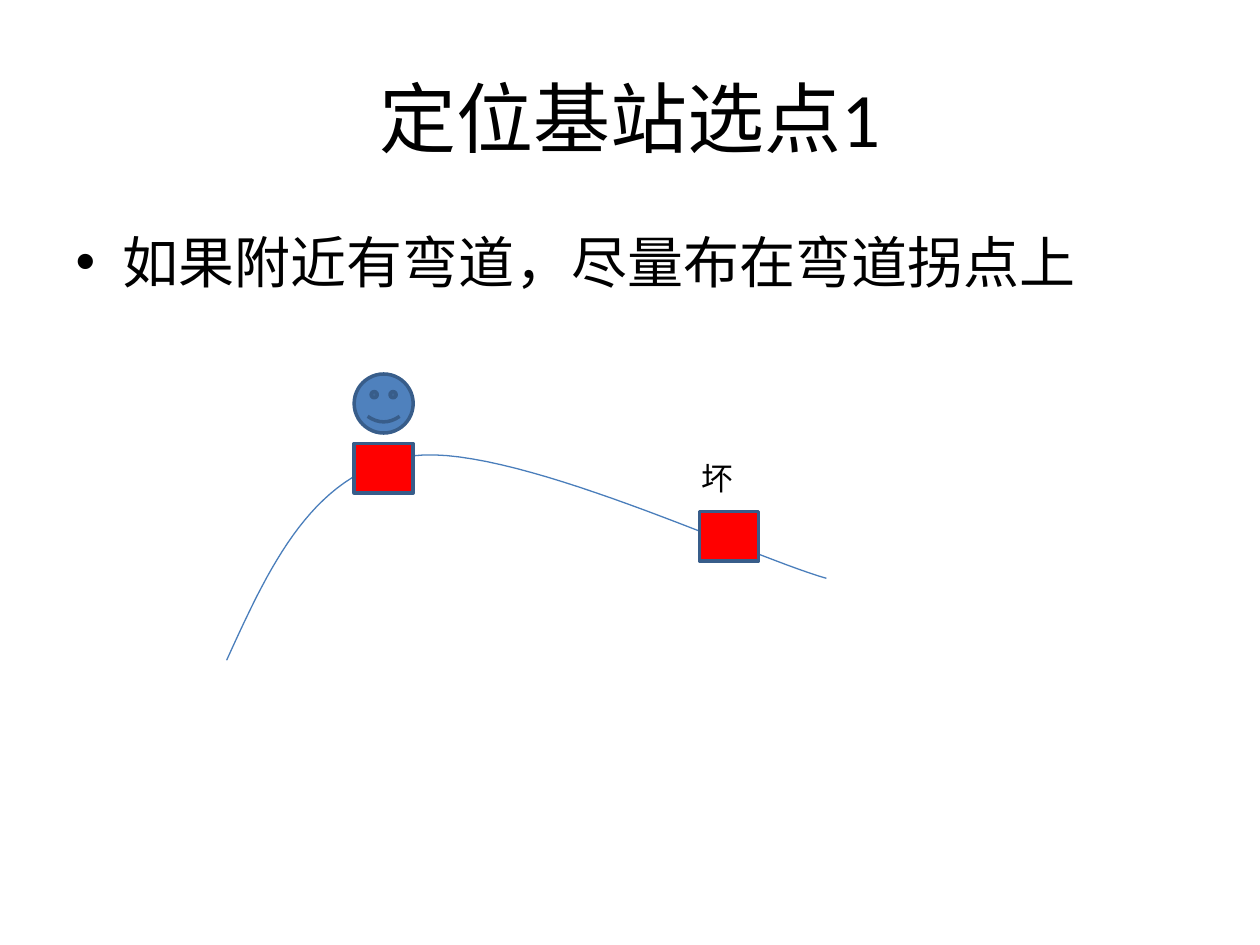
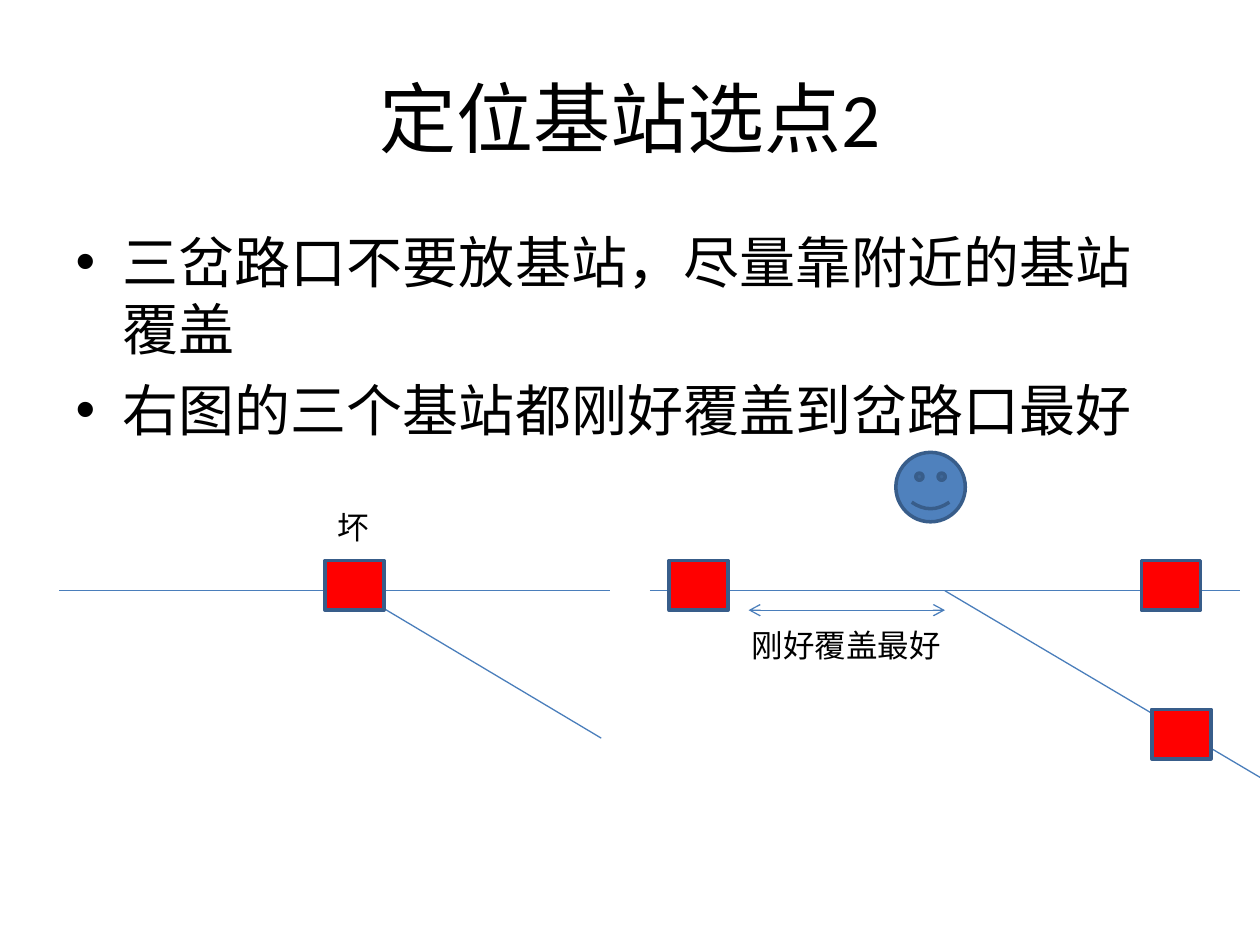
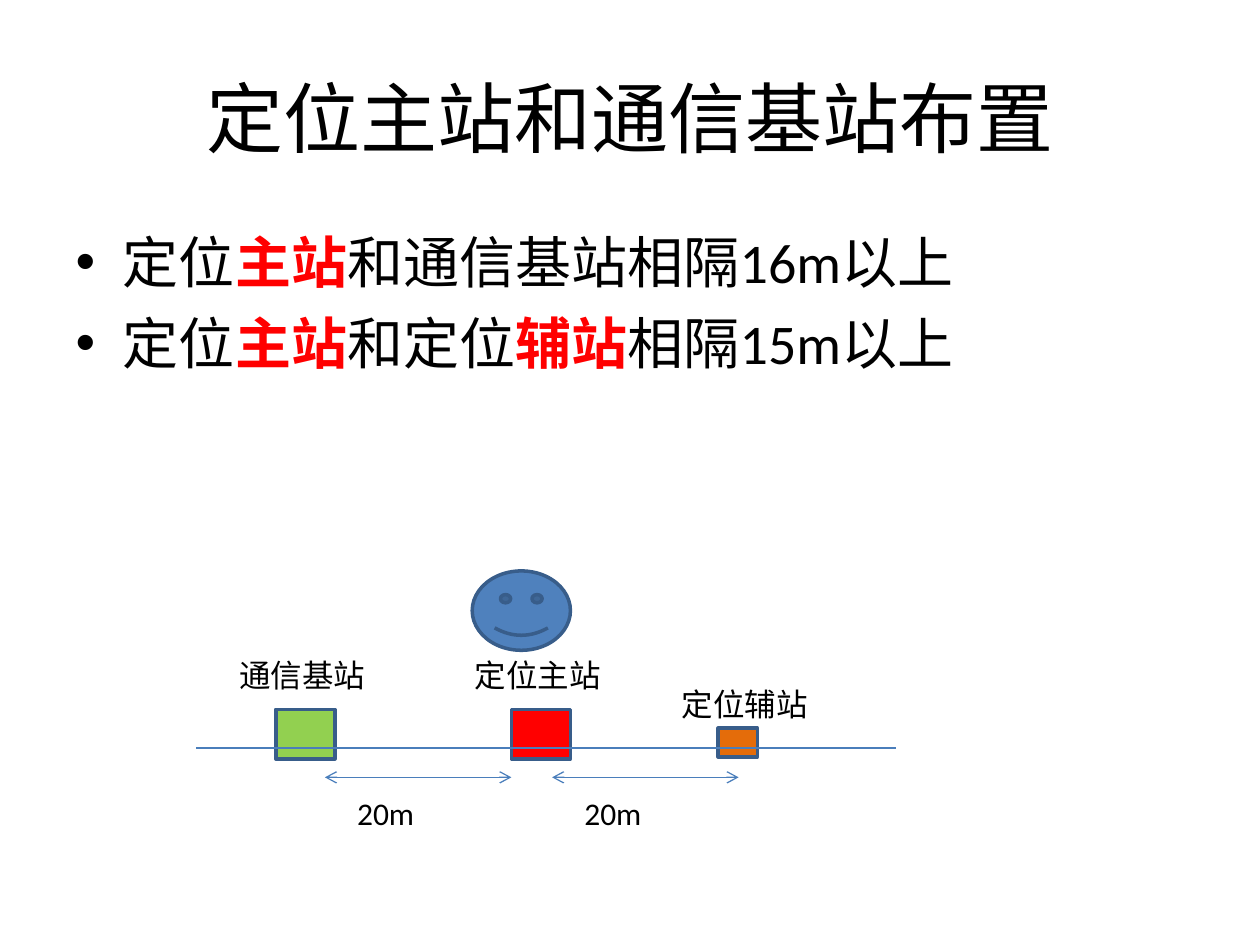
import pptx
import pptx.dml.color
import pptx.enum.shapes
import pptx.enum.text
import pptx.oxml.ns
import pptx.util
from lxml import etree

Cm = pptx.util.Cm
Pt = pptx.util.Pt
Color = pptx.dml.color.RGBColor
Kind = pptx.enum.shapes.MSO_SHAPE

# Shared style
FONT = "Calibri"
BLACK = Color(0x00, 0x00, 0x00)
RED = Color(0xFF, 0x00, 0x00)
GREEN = Color(0x92, 0xD0, 0x50)
ORANGE = Color(0xE4, 0x6C, 0x0A)
BLUE = Color(0x4F, 0x81, 0xBD)
EDGE = Color(0x38, 0x5D, 0x8A)
ROAD = Color(0x4A, 0x7E, 0xBB)

# Station size in cm
WIDE, HIGH = 1.19, 1.0


def add_run(para, text, size, color=BLACK, bold=False):
    run = para.add_run()
    run.text = text
    run.font.name = FONT
    run.font.size = Pt(size)
    run.font.bold = bold
    run.font.color.rgb = color


def place(shape, left, top, width, height):
    shape.left, shape.top = Cm(left), Cm(top)
    shape.width, shape.height = Cm(width), Cm(height)


def add_slide(deck, title, items):
    """Each item is a list of runs; every second run is stressed."""
    slide = deck.slides.add_slide(deck.slide_layouts[1])
    head, body = slide.placeholders
    place(head, 1.27, 0.76, 22.86, 3.18)
    para = head.text_frame.paragraphs[0]
    para.alignment = pptx.enum.text.PP_ALIGN.CENTER
    add_run(para, title, 44)

    place(body, 1.27, 4.45, 22.86, 12.57)
    frame = body.text_frame
    for row, runs in enumerate(items):
        para = frame.add_paragraph() if row else frame.paragraphs[0]
        para.space_before = Pt(8 if row else 0)
        for col, text in enumerate(runs):
            stress = col % 2 == 1
            add_run(para, text, 32, RED if stress else BLACK, stress)
    return slide


def add_form(slide, kind, color, left, top, width, height):
    form = slide.shapes.add_shape(kind, Cm(left), Cm(top), Cm(width), Cm(height))
    form.shadow.inherit = False
    form.fill.solid()
    form.fill.fore_color.rgb = color
    form.line.color.rgb = EDGE
    form.line.width = Pt(2)
    return form


def add_site(slide, left, top, color=RED, width=WIDE, height=HIGH):
    add_form(slide, Kind.RECTANGLE, color, left, top, width, height)


def add_smile(slide, left, top, width, height):
    face = add_form(slide, Kind.SMILEY_FACE, BLUE, left, top, width, height)
    face.adjustments[0] = 0.093


def add_label(slide, text, left, top, width, wrap=True):
    box = slide.shapes.add_textbox(Cm(left), Cm(top), Cm(width), Cm(1.02))
    box.text_frame.word_wrap = wrap
    add_run(box.text_frame.paragraphs[0], text, 18)


def add_line(slide, start, end, arrows=False):
    line = slide.shapes.add_connector(
        pptx.enum.shapes.MSO_CONNECTOR.STRAIGHT, *map(Cm, start + end))
    line.line.color.rgb = ROAD
    line.line.width = Pt(0.75)
    props = line._element.spPr
    etree.SubElement(props, pptx.oxml.ns.qn("a:effectLst"))
    if arrows:
        for name in ("a:headEnd", "a:tailEnd"):
            tip = etree.SubElement(line.line._ln, pptx.oxml.ns.qn(name))
            tip.set("type", "arrow")


def add_fork(slide, left, joint, right, end, top):
    """Two road halves and a branch that meet at the joint."""
    node = (joint, top)
    add_line(slide, (left, top), node)
    add_line(slide, node, end)
    add_line(slide, node, (right, top))


def bezier(ends, steps=30):
    """Points along a cubic curve, without its start."""
    for step in range(1, steps + 1):
        t = step / steps
        u = 1 - t
        parts = (u ** 3, 3 * u * u * t, 3 * u * t * t, t ** 3)
        yield tuple(Cm(sum(k * p[axis] for k, p in zip(parts, ends)))
                    for axis in (0, 1))


def add_curve(slide, knots):
    start = knots[0]
    pen = slide.shapes.build_freeform(Cm(start[0]), Cm(start[1]))
    for first in range(0, len(knots) - 1, 3):
        pen.add_line_segments(bezier(knots[first:first + 4]), close=False)
    bend = pen.convert_to_shape()
    bend.shadow.inherit = False
    bend.fill.background()
    bend.line.color.rgb = ROAD
    bend.line.width = Pt(0.75)


def draw_bend(deck):
    slide = add_slide(deck, "定位基站选点1",
                      [["如果附近有弯道，尽量布在弯道拐点上"]])
    add_curve(slide, [(4.57, 13.31), (5.44, 11.4), (6.32, 9.47), (8.33, 9.19),
                      (10.34, 8.94), (15.06, 11.2), (16.66, 11.66)])
    add_site(slide, 7.14, 8.94)
    add_smile(slide, 7.14, 7.54, WIDE, WIDE)
    add_site(slide, 14.1, 10.31)
    add_label(slide, "坏", 13.89, 9.12, WIDE)


def draw_forks(deck):
    slide = add_slide(deck, "定位基站选点2",
                      [["三岔路口不要放基站，尽量靠附近的基站覆盖"],
                       ["右图的三个基站都刚好覆盖到岔路口最好"]])
    road, top = 11.91, 11.3
    # Bad choice: station on the joint
    add_fork(slide, 1.19, 7.14, 12.29, (12.12, 14.88), road)
    add_site(slide, 6.55, top)
    add_label(slide, "坏", 6.55, 10.11, WIDE)
    # Good choice: three stations around the joint
    add_fork(slide, 13.1, 19.05, 25, (25.4, 15.67), road)
    for spot in ((13.49, top), (23.01, top), (23.22, 14.3)):
        add_site(slide, *spot)
    add_smile(slide, 18.06, 9.12, 1.4, 1.4)
    add_line(slide, (15.09, 12.3), (19.05, 12.3), arrows=True)
    add_label(slide, "刚好覆盖最好", 14.91, 12.5, 4.32, wrap=False)


def draw_sites(deck):
    slide = add_slide(deck, "定位主站和通信基站布置",
                      [["定位", "主站", "和通信基站相隔16m以上"],
                       ["定位", "主站", "和定位", "辅站", "相隔15m以上"]])
    add_site(slide, 5.56, 14.3, GREEN)
    add_site(slide, 10.31, 14.3)
    add_site(slide, 14.48, 14.68, ORANGE, 0.79, 0.58)
    add_line(slide, (3.96, 15.08), (18.06, 15.08))
    # Distances
    for left in (6.55, 11.13):
        add_line(slide, (left, 15.67), (left + 3.76, 15.67), arrows=True)
        add_label(slide, "20m", left + 0.4, 15.88, 1.65, wrap=False)
    # Names
    add_label(slide, "通信基站", 4.57, 13.1, 3.18)
    add_label(slide, "定位主站", 9.32, 13.1, 3.58)
    add_label(slide, "定位辅站", 13.49, 13.69, 3.58)
    add_smile(slide, 9.52, 11.51, 1.98, 1.6)


def main():
    deck = pptx.Presentation()
    deck.slide_width, deck.slide_height = Cm(25.4), Cm(19.05)
    draw_bend(deck)
    draw_forks(deck)
    draw_sites(deck)
    deck.save("out.pptx")


if __name__ == "__main__":
    main()
